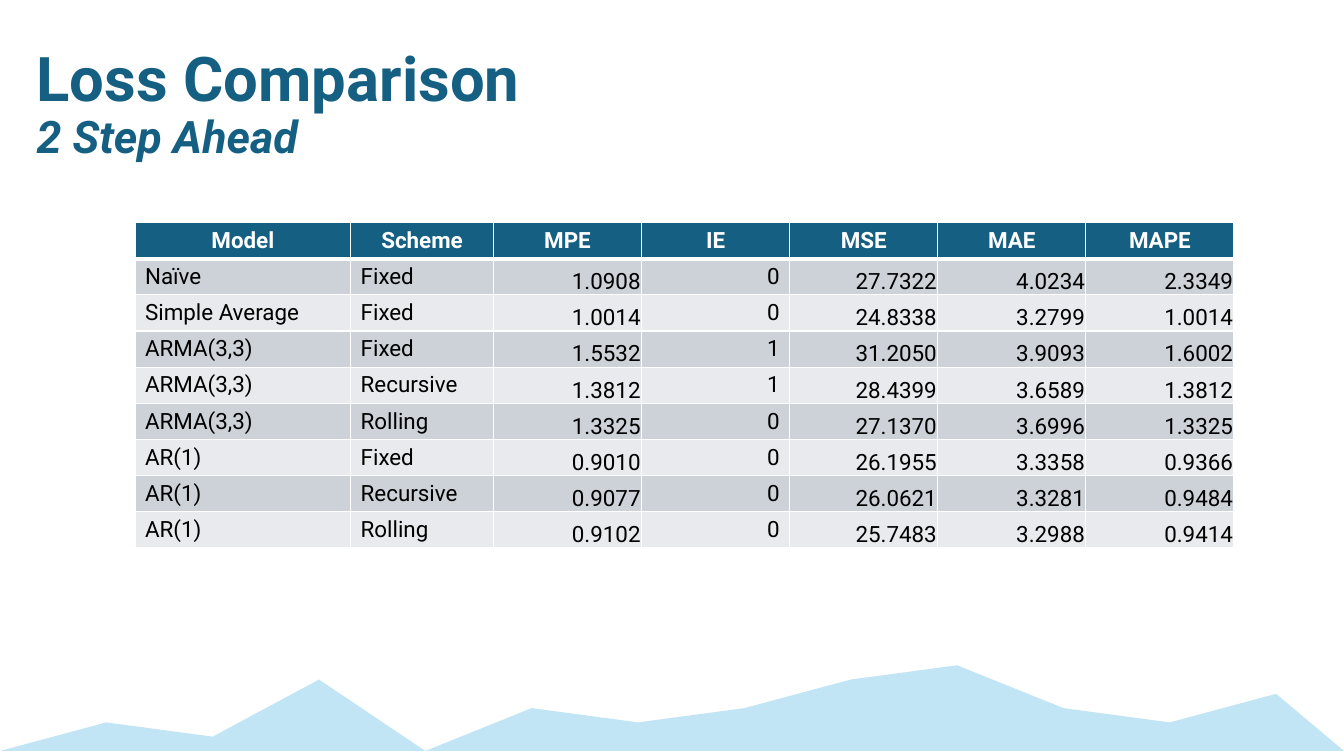
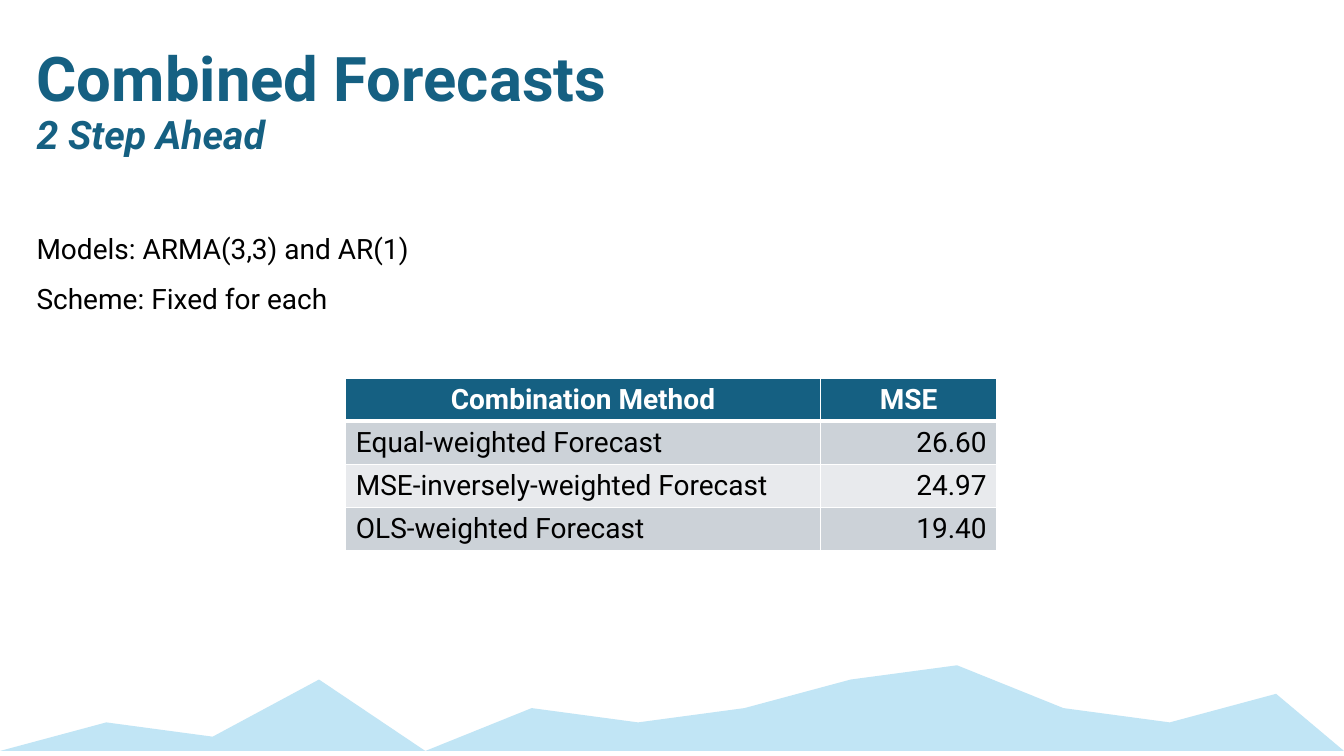
import pptx
import pptx.dml.color
import pptx.enum.text
import pptx.oxml
import pptx.oxml.ns
import pptx.util

Pt = pptx.util.Pt
RGBColor = pptx.dml.color.RGBColor
Align = pptx.enum.text.PP_ALIGN
Anchor = pptx.enum.text.MSO_ANCHOR

# Shared look
FONT = "Roboto"
TEAL = RGBColor(0x15, 0x60, 0x82)
SKY = RGBColor(0xC1, 0xE5, 0xF5)
BAND_DARK = RGBColor(0xCC, 0xD2, 0xD8)
BAND_LIGHT = RGBColor(0xE8, 0xEA, 0xED)
WHITE = RGBColor(0xFF, 0xFF, 0xFF)
BLACK = RGBColor(0x00, 0x00, 0x00)

SLIDE_WIDTH, SLIDE_HEIGHT = 960, 540
TEXT_LEFT = 19
TEXT_INSET = 7.2

# Mountain ridge: peak heights in units, at equal steps from the left
RIDGE_PEAKS = [0, 2, 1, 5, 0, 3, 2, 3, 5, 6, 3, 2, 4]
RIDGE_STEP, RIDGE_UNIT, RIDGE_BASE = 75.96, 10.2, 536.4

# Table contents
LOSS_ROWS = [
    ["Model", "Scheme", "MPE", "IE", "MSE", "MAE", "MAPE"],
    ["Naïve", "Fixed", "1.0908", "0", "27.7322", "4.0234", "2.3349"],
    ["Simple Average", "Fixed", "1.0014", "0", "24.8338", "3.2799", "1.0014"],
    ["ARMA(3,3)", "Fixed", "1.5532", "1", "31.2050", "3.9093", "1.6002"],
    ["ARMA(3,3)", "Recursive", "1.3812", "1", "28.4399", "3.6589", "1.3812"],
    ["ARMA(3,3)", "Rolling", "1.3325", "0", "27.1370", "3.6996", "1.3325"],
    ["AR(1)", "Fixed", "0.9010", "0", "26.1955", "3.3358", "0.9366"],
    ["AR(1)", "Recursive", "0.9077", "0", "26.0621", "3.3281", "0.9484"],
    ["AR(1)", "Rolling", "0.9102", "0", "25.7483", "3.2988", "0.9414"],
]
COMBINED_ROWS = [
    ["Combination Method", "MSE"],
    ["Equal-weighted Forecast", "26.60"],
    ["MSE-inversely-weighted Forecast", "24.97"],
    ["OLS-weighted Forecast", "19.40"],
]


def write(para, text, *, size, color=BLACK, bold=False, italic=False,
          align=Align.LEFT, spacing=1.0, before=0):
    """Add one formatted run to a paragraph."""
    para.alignment = align
    para.line_spacing = spacing
    para.space_before = Pt(before)
    span = para.add_run()
    span.text = text
    font = span.font
    font.name, font.size = FONT, Pt(size)
    font.bold, font.italic = bold, italic
    font.color.rgb = color


def prepare_frame(box):
    """Give a text box or placeholder its wrapping, insets and anchor."""
    frame = box.text_frame
    frame.word_wrap = True
    frame.auto_size = pptx.enum.text.MSO_AUTO_SIZE.NONE
    frame.vertical_anchor = Anchor.TOP
    frame.margin_left = frame.margin_right = Pt(TEXT_INSET)
    frame.margin_top = frame.margin_bottom = Pt(TEXT_INSET)
    return frame


def add_ridge(page):
    points = [(i * RIDGE_STEP, RIDGE_BASE - peak * RIDGE_UNIT)
              for i, peak in enumerate(RIDGE_PEAKS)]
    points.append((SLIDE_WIDTH, RIDGE_BASE))
    corners = [(Pt(x), Pt(y)) for x, y in points]
    builder = page.shapes.build_freeform(*corners[0])
    builder.add_line_segments(corners[1:], close=True)
    ridge = builder.convert_to_shape()
    ridge.shadow.inherit = False
    ridge.fill.solid()
    ridge.fill.fore_color.rgb = SKY
    ridge.line.fill.background()


def add_page(deck, title, subtitle, subtitle_size):
    """Start a page with the ridge and a two-line title."""
    page = deck.slides.add_slide(deck.slide_layouts[5])
    add_ridge(page)
    box = page.shapes.title
    box.left, box.top = Pt(TEXT_LEFT), Pt(27.6)
    box.width, box.height = Pt(551), Pt(92)
    frame = prepare_frame(box)
    write(frame.paragraphs[0], title, size=44, color=TEAL, bold=True,
          spacing=0.9)
    write(frame.add_paragraph(), subtitle, size=subtitle_size, color=TEAL,
          bold=True, italic=True, spacing=0.9)
    return page


def add_notes_box(page, lines, top):
    box = page.shapes.add_textbox(Pt(TEXT_LEFT), Pt(top), Pt(600), Pt(74))
    frame = prepare_frame(box)
    for i, line in enumerate(lines):
        para = frame.add_paragraph() if i else frame.paragraphs[0]
        write(para, line, size=20, before=12 if i else 0)


def set_borders(cell, top, bottom):
    """Draw white cell borders; top and bottom are widths in points."""
    properties = cell._tc.get_or_add_tcPr()
    for side, width in (("L", 1), ("R", 1), ("T", top), ("B", bottom)):
        properties.append(pptx.oxml.parse_xml(
            f'<a:ln{side} {pptx.oxml.ns.nsdecls("a")} w="{Pt(width)}">'
            f'<a:solidFill><a:srgbClr val="{WHITE}"/></a:solidFill>'
            f'</a:ln{side}>'))


def add_data_table(page, rows, *, left, top, widths, row_height, size,
                   label_columns, flush_columns=()):
    """Add a banded table; flush columns sit tight in the lower right."""
    table = page.shapes.add_table(
        len(rows), len(widths), Pt(left), Pt(top),
        Pt(sum(widths)), Pt(row_height * len(rows))).table
    for column, width in zip(table.columns, widths):
        column.width = Pt(width)
    for r, row in enumerate(rows):
        table.rows[r].height = Pt(row_height)
        header = r == 0
        band = TEAL if header else BAND_DARK if r % 2 else BAND_LIGHT
        for c, text in enumerate(row):
            cell = table.cell(r, c)
            set_borders(cell, top=3 if r == 1 else 1, bottom=3 if header else 1)
            cell.fill.solid()
            cell.fill.fore_color.rgb = band
            cell.vertical_anchor = Anchor.MIDDLE
            if not header and c in flush_columns:
                cell.vertical_anchor = Anchor.BOTTOM
                cell.margin_left = cell.margin_right = Pt(0.7)
                cell.margin_top, cell.margin_bottom = Pt(0.7), Pt(0)
            body_align = Align.LEFT if c < label_columns else Align.RIGHT
            write(cell.text_frame.paragraphs[0], text, size=size, bold=header,
                  color=WHITE if header else BLACK,
                  align=Align.CENTER if header else body_align)


def main():
    deck = pptx.Presentation()
    deck.slide_width, deck.slide_height = Pt(SLIDE_WIDTH), Pt(SLIDE_HEIGHT)

    # Loss comparison
    page = add_page(deck, "Loss Comparison", "2 Step Ahead", 32)
    add_data_table(page, LOSS_ROWS, left=96.5, top=159,
                   widths=[154, 102] + [105.8] * 5, row_height=25.8, size=16,
                   label_columns=2, flush_columns=(2, 4, 5, 6))

    # Combined forecasts
    page = add_page(deck, "Combined Forecasts", "2 Step Ahead", 28)
    add_notes_box(page, ["Models: ARMA(3,3) and AR(1)",
                         "Scheme: Fixed for each"], top=158)
    add_data_table(page, COMBINED_ROWS, left=247, top=270, widths=[339, 126],
                   row_height=30.6, size=20, label_columns=1)

    deck.save("out.pptx")


if __name__ == "__main__":
    main()
